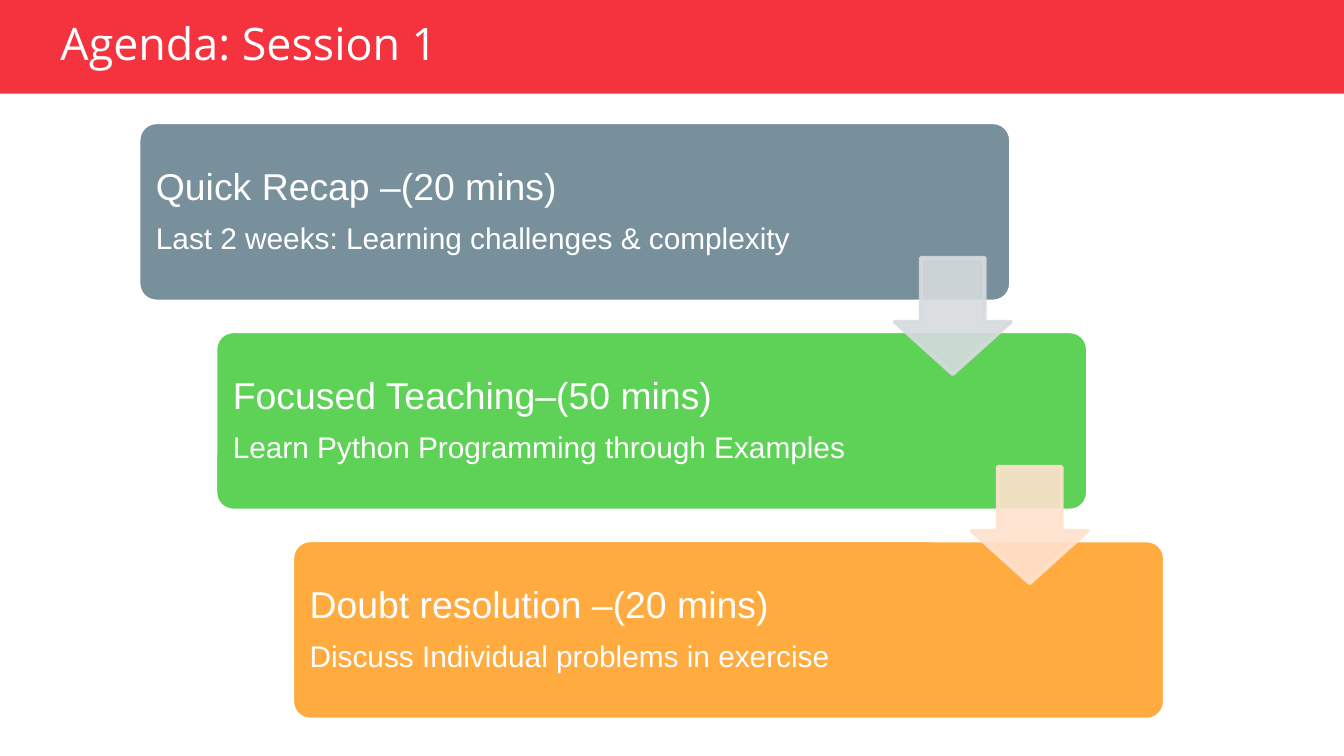
from lxml.etree import SubElement
from pptx import Presentation
from pptx.dml.color import RGBColor
from pptx.enum.shapes import MSO_SHAPE
from pptx.enum.text import MSO_ANCHOR, MSO_AUTO_SIZE, PP_ALIGN
from pptx.oxml.ns import qn
from pptx.util import Pt

WHITE = RGBColor(0xFF, 0xFF, 0xFF)
RED = RGBColor(0xF5, 0x33, 0x3F)
SLATE = RGBColor(0x78, 0x90, 0x9C)
GREEN = RGBColor(0x5E, 0xD2, 0x57)
ORANGE = RGBColor(0xFF, 0xAB, 0x40)
PALE_GREY = RGBColor(0xD6, 0xDB, 0xDE)
PALE_PEACH = RGBColor(0xFF, 0xE2, 0xCE)

STEPS = [
    ("Quick Recap –(20 mins)", "Last 2 weeks: Learning challenges & complexity", SLATE, 108),
    ("Focused Teaching–(50 mins)", "Learn Python Programming through Examples", GREEN, 113),
    ("Doubt resolution –(20 mins)", "Discuss Individual problems in exercise", ORANGE, 113),
]
ARROW_COLORS = [PALE_GREY, PALE_PEACH]


def set_attributes(target, values):
    for name, value in values.items():
        setattr(target, name, value)


def add_filled_shape(slide, kind, box, fill, line=None):
    shape = slide.shapes.add_shape(kind, *map(Pt, box))
    shape.shadow.inherit = False
    shape.fill.solid()
    shape.fill.fore_color.rgb = fill
    if line is None:
        shape.line.fill.background()
    else:
        shape.line.color.rgb = line
        shape.line.width = Pt(2)
    return shape


def write_paragraph(paragraph, text, font_name, size, space_after=0):
    set_attributes(paragraph, {
        "alignment": PP_ALIGN.LEFT, "line_spacing": 0.9, "space_before": Pt(0),
        "space_after": Pt(space_after),
    })
    run = paragraph.add_run()
    run.text = text
    set_attributes(run.font, {"name": font_name, "size": Pt(size)})
    run.font.color.rgb = WHITE


def add_header(slide, box, text):
    left, top, width, height = box
    title = slide.shapes.title
    band = add_filled_shape(slide, MSO_SHAPE.RECTANGLE, box, RED)
    title.element.addprevious(band.element)
    set_attributes(title, {
        "left": Pt(left + 25.2), "top": Pt(top + 9.4), "width": Pt(294.5), "height": Pt(30.2),
    })
    set_attributes(title.text_frame, {
        "margin_left": Pt(7.2), "margin_right": Pt(7.2),
        "margin_top": Pt(3.6), "margin_bottom": Pt(3.6),
        "vertical_anchor": MSO_ANCHOR.MIDDLE, "auto_size": MSO_AUTO_SIZE.NONE, "word_wrap": True,
    })
    write_paragraph(title.text_frame.paragraphs[0], text, "Open Sans", 24)


def add_step(slide, box, heading, detail, color, right_margin):
    card = add_filled_shape(slide, MSO_SHAPE.ROUNDED_RECTANGLE, box, color, WHITE)
    card.adjustments[0] = 0.1
    frame = card.text_frame
    set_attributes(frame, {
        "margin_left": Pt(6.5), "margin_right": Pt(right_margin),
        "margin_top": Pt(6.5), "margin_bottom": Pt(6.5),
        "vertical_anchor": MSO_ANCHOR.MIDDLE, "word_wrap": True,
    })
    write_paragraph(frame.paragraphs[0], heading, "Arial", 20, 8)
    write_paragraph(frame.add_paragraph(), detail, "Arial", 16, 6.5)


def add_arrow(slide, box, color):
    arrow = add_filled_shape(slide, MSO_SHAPE.DOWN_ARROW, box, color, color)
    arrow.adjustments[0] = 0.55
    arrow.adjustments[1] = 0.45
    for color_element in arrow.element.spPr.iter(qn("a:srgbClr")):
        SubElement(color_element, qn("a:alpha"), val="90000")
    SubElement(arrow.element.spPr.find(qn("a:ln")), qn("a:round"))


def add_staircase(slide, box):
    left, top, width, height = box
    card_width, card_height, arrow_size = 467.4, 96, 62.4
    step_x = (width - card_width) / (len(STEPS) - 1)
    step_y = (height - card_height) / (len(STEPS) - 1)
    for index, step in enumerate(STEPS):
        card_box = (left + index * step_x, top + index * step_y, card_width, card_height)
        add_step(slide, card_box, *step)
    for index, color in enumerate(ARROW_COLORS):
        arrow_left = left + index * step_x + card_width - arrow_size
        arrow_top = top + index * step_y + 72.6
        add_arrow(slide, (arrow_left, arrow_top, arrow_size, arrow_size), color)


def main():
    presentation = Presentation()
    set_attributes(presentation, {"slide_width": Pt(720), "slide_height": Pt(405)})
    slide = presentation.slides.add_slide(presentation.slide_layouts.get_by_name("Title Only"))
    add_header(slide, (0, 0, 720, 50.2), "Agenda: Session 1")
    add_staircase(slide, (74.2, 65.5, 549.8, 320))
    presentation.save("out.pptx")


if __name__ == "__main__":
    main()
